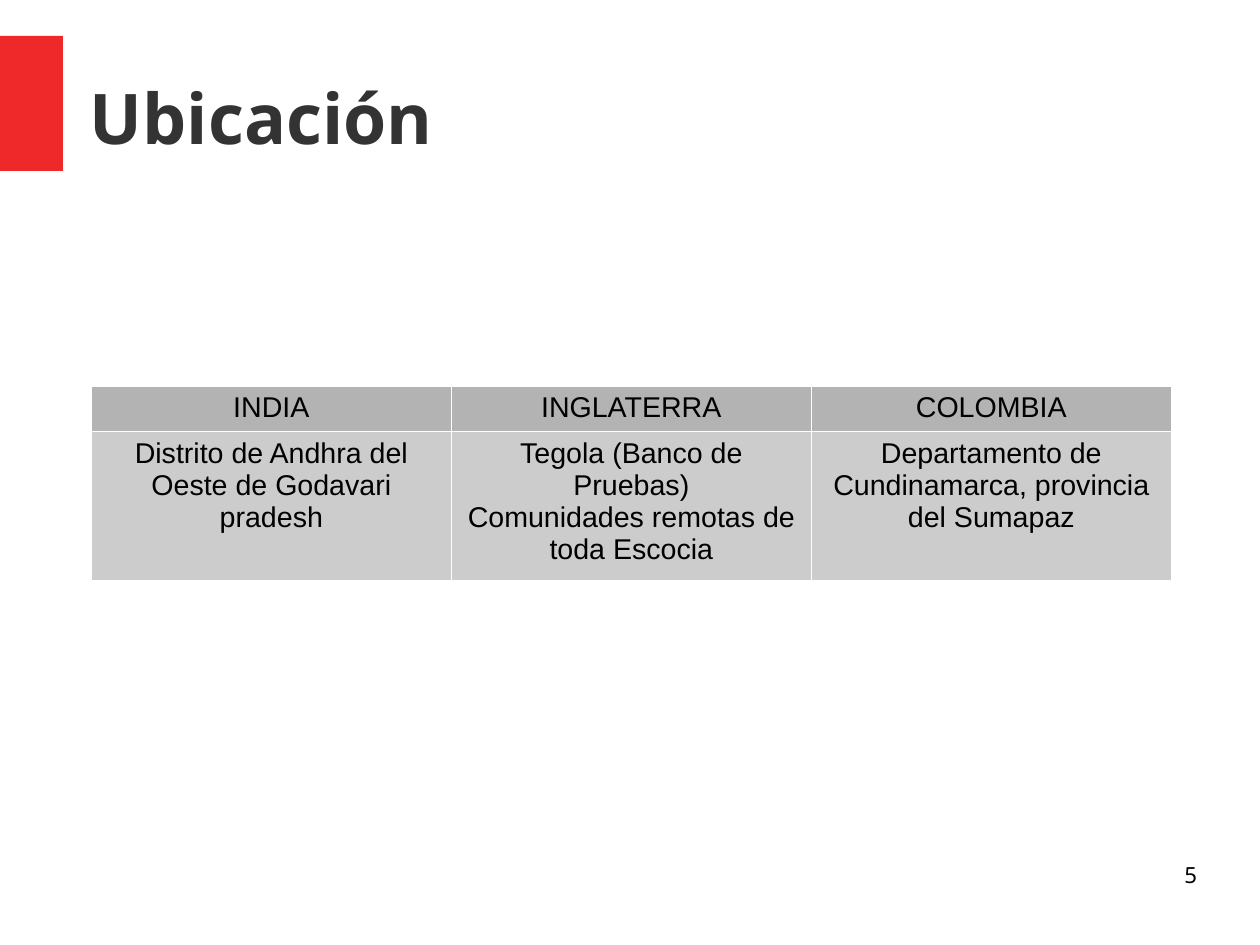
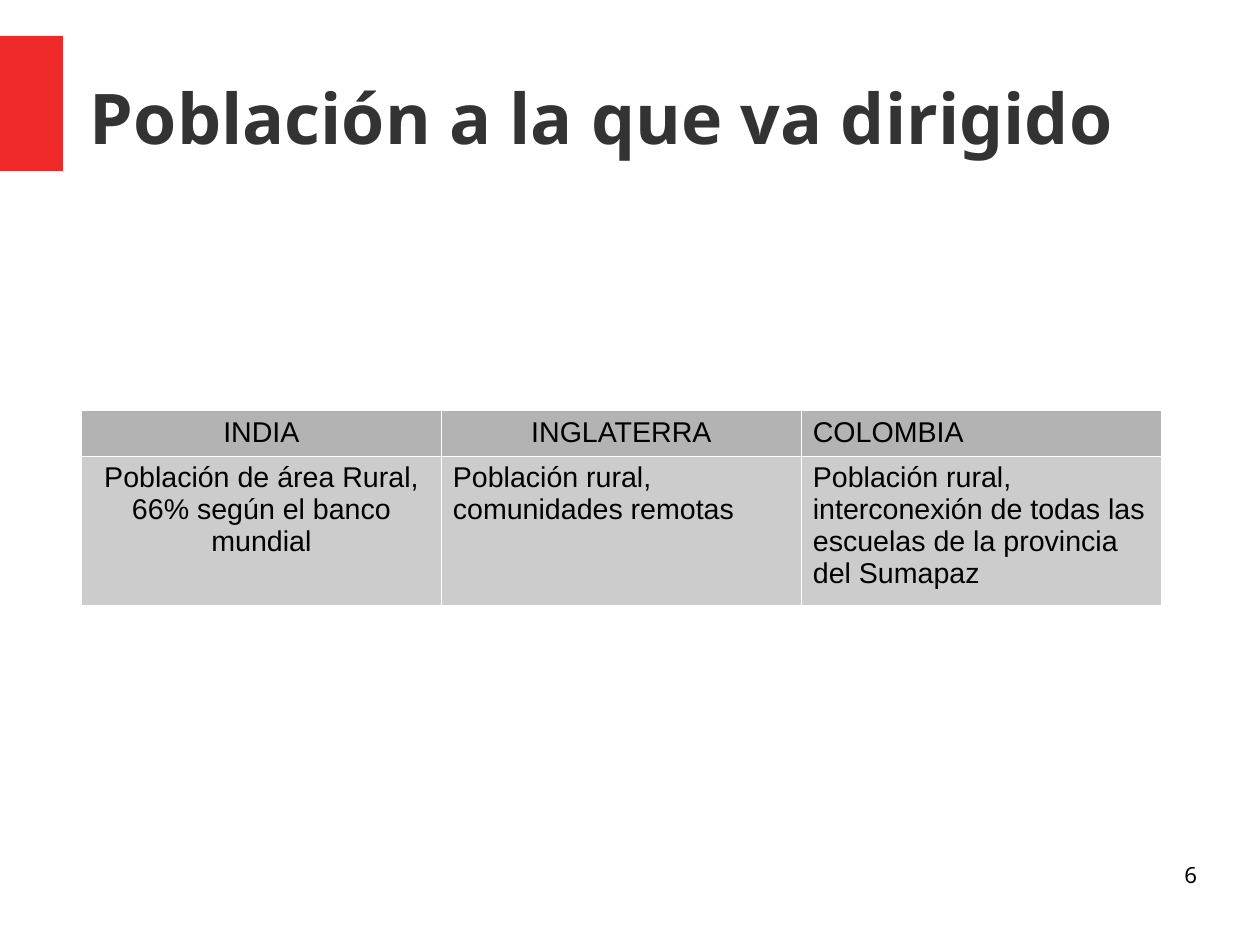
from dataclasses import dataclass

from lxml import etree
from pptx import Presentation
from pptx.dml.color import RGBColor
from pptx.enum import shapes, text
from pptx.oxml import ns
from pptx.util import Cm, Pt

CENTER, LEFT, RIGHT = text.PP_ALIGN.CENTER, text.PP_ALIGN.LEFT, text.PP_ALIGN.RIGHT

# Content: each table cell is (text, alignment); a line break starts a paragraph
SLIDES = [
    {
        "title": "Ubicación",
        "number": 5,
        "table_at": (2.03, 8.57),
        "rows": [
            [("INDIA", CENTER), ("INGLATERRA", CENTER), ("COLOMBIA", CENTER)],
            [
                ("Distrito de Andhra del Oeste de Godavari pradesh", CENTER),
                ("Tegola (Banco de Pruebas)\nComunidades remotas de toda Escocia", CENTER),
                ("Departamento de Cundinamarca, provincia del Sumapaz", CENTER),
            ],
        ],
    },
    {
        "title": "Población a la que va dirigido",
        "number": 6,
        "table_at": (1.81, 9.12),
        "rows": [
            [("INDIA", CENTER), ("INGLATERRA", CENTER), ("COLOMBIA", LEFT)],
            [
                ("Población de área Rural, 66% según el banco mundial", CENTER),
                ("Población rural, comunidades remotas", LEFT),
                ("Población rural, interconexión de todas las escuelas "
                 "de la provincia del Sumapaz", LEFT),
            ],
        ],
    },
]


# Shared look
@dataclass(frozen=True)
class Theme:
    accent: str = "EF2929"
    title: str = "333333"
    ink: str = "000000"
    header: str = "B3B3B3"
    body: str = "CCCCCC"
    border: str = "FFFFFF"
    heading_font: str = "Noto Sans"
    table_font: str = "Arial"
    title_size: int = 44
    table_size: int = 18
    number_size: int = 14
    border_width: float = 0.06


THEME = Theme()
COLUMN_WIDTH = 8
ROW_HEIGHTS = (1.01, 3.3)


def style(paragraph, font, size, color, align=LEFT, bold=False):
    paragraph.alignment = align
    paragraph.font.name = font
    paragraph.font.size = Pt(size)
    paragraph.font.bold = bold
    paragraph.font.color.rgb = RGBColor.from_string(color)


def add_label(slide, words, box, anchor, *look):
    frame = slide.shapes.add_textbox(*map(Cm, box)).text_frame
    frame.word_wrap = True
    frame.vertical_anchor = anchor
    frame.margin_left = frame.margin_top = frame.margin_right = frame.margin_bottom = 0
    frame.text = words
    style(frame.paragraphs[0], *look)


def add_frame(slide, title, number):
    """Accent band, title and page number."""
    band = slide.shapes.add_shape(
        shapes.MSO_SHAPE.RECTANGLE, *map(Cm, (0, 0.8, 1.4, 3)))
    band.shadow.inherit = False
    band.fill.solid()
    band.fill.fore_color.rgb = RGBColor.from_string(THEME.accent)
    band.line.fill.background()
    add_label(slide, title, (2, 0.8, 24.6, 3.6), text.MSO_ANCHOR.MIDDLE,
              THEME.heading_font, THEME.title_size, THEME.title, LEFT, True)
    add_label(slide, str(number), (20.1, 19.13, 6.5, 1.45), text.MSO_ANCHOR.TOP,
              THEME.heading_font, THEME.number_size, THEME.ink, RIGHT)


def add_borders(cell):
    properties = cell._tc.get_or_add_tcPr()
    for side in ("a:lnL", "a:lnR", "a:lnT", "a:lnB"):
        line = etree.SubElement(properties, ns.qn(side), w=str(int(Pt(THEME.border_width))))
        fill = etree.SubElement(line, ns.qn("a:solidFill"))
        etree.SubElement(fill, ns.qn("a:srgbClr"), val=THEME.border)


def add_comparison(slide, rows, place):
    columns = len(rows[0])
    size = (columns * COLUMN_WIDTH, sum(ROW_HEIGHTS))
    table = slide.shapes.add_table(len(rows), columns, *map(Cm, place + size)).table
    for column in table.columns:
        column.width = Cm(COLUMN_WIDTH)
    for r, row in enumerate(rows):
        table.rows[r].height = Cm(ROW_HEIGHTS[r])
        for c, (words, align) in enumerate(row):
            cell = table.cell(r, c)
            add_borders(cell)
            cell.fill.solid()
            cell.fill.fore_color.rgb = RGBColor.from_string(
                THEME.body if r else THEME.header)
            cell.text = words
            for paragraph in cell.text_frame.paragraphs:
                style(paragraph, THEME.table_font, THEME.table_size, THEME.ink, align)


def main():
    deck = Presentation()
    deck.slide_width, deck.slide_height = Cm(28), Cm(21)
    blank = deck.slide_layouts[6]
    for content in SLIDES:
        slide = deck.slides.add_slide(blank)
        add_frame(slide, content["title"], content["number"])
        add_comparison(slide, content["rows"], content["table_at"])
    deck.save("out.pptx")


if __name__ == "__main__":
    main()
